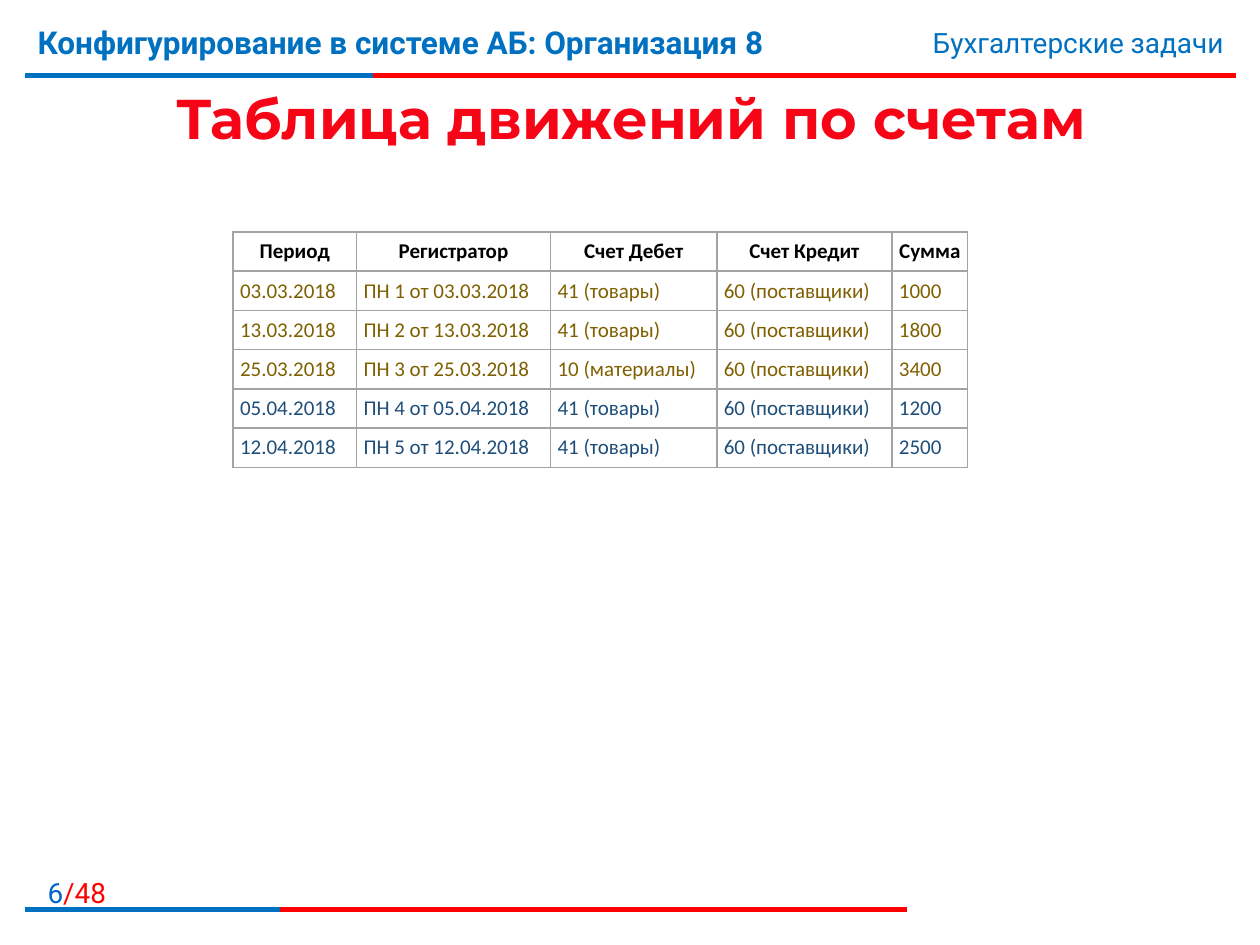
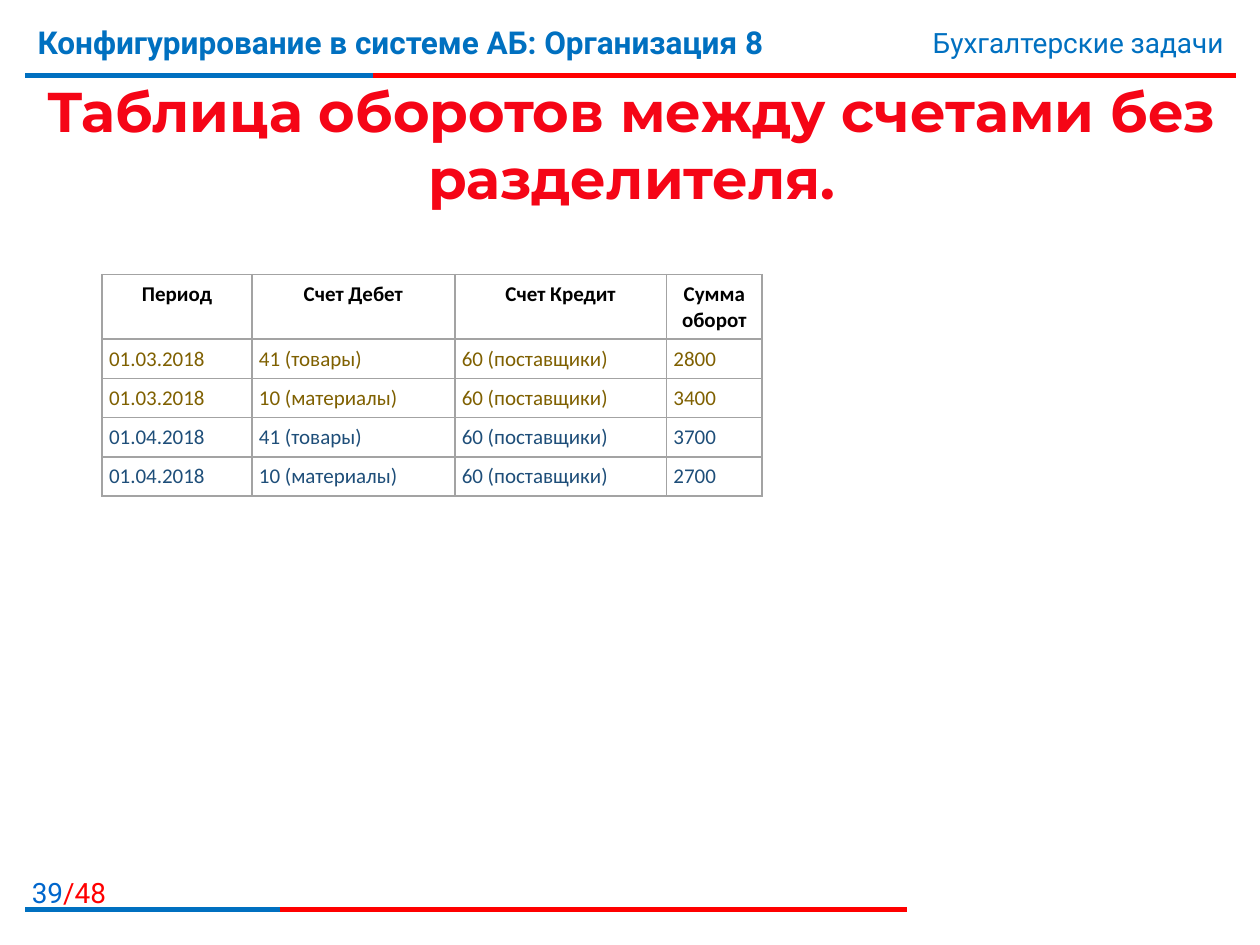
from dataclasses import dataclass

from lxml.etree import SubElement
from pptx import Presentation
from pptx.dml.color import RGBColor
from pptx.enum.shapes import MSO_CONNECTOR
from pptx.enum.text import MSO_ANCHOR, PP_ALIGN
from pptx.oxml import parse_xml
from pptx.oxml.ns import nsdecls, qn
from pptx.util import Inches, Pt


@dataclass(frozen=True)
class Theme:
    blue: str = "0070C0"
    red: str = "FF0000"
    number_blue: str = "0066CC"
    title_stops: tuple = ((0.55, "F50516"), (0.86, "C00000"))
    title_outline: str = "FFFFFF"
    black: str = "000000"
    march: str = "7F6000"
    april: str = "1E4E79"
    border: str = "A3A3A3"
    heading_font: str = "Montserrat"
    band_font: str = "Roboto"
    table_font: str = "Calibri"
    title_size: int = 32
    course_size: int = 18
    band_size: int = 16
    table_size: int = 12
    rule_width: int = 3


THEME = Theme()
MONTH_COLORS = {"03": THEME.march, "04": THEME.april}
PAGE_TOTAL = 48
CELL_MARGIN = Inches(1 / 18)
ROW_HEIGHT = Inches(0.31)

COURSE = "Конфигурирование в системе АБ: Организация 8"
TOPIC = "Бухгалтерские задачи"

PAGES = [
    {
        "number": 6,
        "title": "Таблица движений по счетам",
        "title_height": 0.6,
        "table_at": (1.85, 1.84),
        "columns": [0.98, 1.54, 1.32, 1.39, 0.6],
        "rows": [
            ["Период", "Регистратор", "Счет Дебет", "Счет Кредит", "Сумма"],
            ["03.03.2018", "ПН 1 от 03.03.2018", "41 (товары)", "60 (поставщики)", "1000"],
            ["13.03.2018", "ПН 2 от 13.03.2018", "41 (товары)", "60 (поставщики)", "1800"],
            ["25.03.2018", "ПН 3 от 25.03.2018", "10 (материалы)", "60 (поставщики)", "3400"],
            ["05.04.2018", "ПН 4 от 05.04.2018", "41 (товары)", "60 (поставщики)", "1200"],
            ["12.04.2018", "ПН 5 от 12.04.2018", "41 (товары)", "60 (поставщики)", "2500"],
        ],
    },
    {
        "number": 39,
        "title": "Таблица оборотов между счетами без разделителя.",
        "title_height": 1.02,
        "table_at": (0.81, 2.18),
        "columns": [1.19, 1.61, 1.68, 0.76],
        "rows": [
            ["Период", "Счет Дебет", "Счет Кредит", "Сумма оборот"],
            ["01.03.2018", "41 (товары)", "60 (поставщики)", "2800"],
            ["01.03.2018", "10 (материалы)", "60 (поставщики)", "3400"],
            ["01.04.2018", "41 (товары)", "60 (поставщики)", "3700"],
            ["01.04.2018", "10 (материалы)", "60 (поставщики)", "2700"],
        ],
    },
]


def set_attributes(target, values):
    for name, value in values.items():
        setattr(target, name, value)


def add_span(para, text, font_name, size, color=None, bold=False):
    span = para.add_run()
    span.text = text
    set_attributes(span.font, {"name": font_name, "size": Pt(size), "bold": bold})
    if color:
        span.font.color.rgb = RGBColor.from_string(color)
    return span


def add_text_box(page, box, align=PP_ALIGN.LEFT, anchor=MSO_ANCHOR.TOP):
    """Add an empty text box and return its first paragraph."""
    frame = page.shapes.add_textbox(*map(Inches, box)).text_frame
    set_attributes(frame, {"word_wrap": True, "vertical_anchor": anchor})
    para = frame.paragraphs[0]
    para.alignment = align
    return para


def add_two_tone_rule(page, left, top, width, blue_width):
    """Draw a red rule whose beginning is covered by a blue one."""
    for length, color in ((width, THEME.red), (blue_width, THEME.blue)):
        ends = map(Inches, (left, top, left + length, top))
        rule = page.shapes.add_connector(MSO_CONNECTOR.STRAIGHT, *ends)
        rule.line.width = Pt(THEME.rule_width)
        rule.line.color.rgb = RGBColor.from_string(color)
        SubElement(rule.element.spPr, qn("a:effectLst"))


def add_header(page, left, top, width):
    # Rule, course name and topic
    add_two_tone_rule(page, left, top + 0.47, width, 2.76)
    para = add_text_box(page, (left, top, 7.4, 0.62))
    add_span(para, COURSE, THEME.band_font, THEME.course_size, THEME.blue, bold=True)
    topic_width = 3.86
    topic_box = (left + width - topic_width, top + 0.02, topic_width, 0.37)
    para = add_text_box(page, topic_box, PP_ALIGN.RIGHT)
    add_span(para, TOPIC, THEME.band_font, THEME.band_size, THEME.blue)


def add_footer(page, left, top, width, number):
    # Page number above its rule
    para = add_text_box(page, (left - 0.15, top, 0.89, 0.32), PP_ALIGN.RIGHT)
    for text, color in ((str(number), THEME.number_blue), (f"/{PAGE_TOTAL}", THEME.red)):
        add_span(para, text, THEME.band_font, THEME.band_size, color)
    add_two_tone_rule(page, left, top + 0.32, width, 2.02)


def add_title(page, box, text):
    para = add_text_box(page, box, PP_ALIGN.CENTER, MSO_ANCHOR.MIDDLE)
    span = add_span(para, text, THEME.heading_font, THEME.title_size, bold=True)
    # Gradient from top to bottom
    fill = span.font.fill
    fill.gradient()
    fill.gradient_angle = 270
    for stop, (position, color) in zip(fill.gradient_stops, THEME.title_stops):
        stop.position = position
        stop.color.rgb = RGBColor.from_string(color)
    # Thin letter outline
    outline = parse_xml(
        f'<a:ln {nsdecls("a")} w="{Pt(0.75)}"><a:solidFill>'
        f'<a:srgbClr val="{THEME.title_outline}"/></a:solidFill></a:ln>'
    )
    span.font._element.insert(0, outline)


def add_cell_borders(cell):
    properties = cell._tc.get_or_add_tcPr()
    for side in ("lnL", "lnR", "lnT", "lnB"):
        properties.append(parse_xml(
            f'<a:{side} {nsdecls("a")} w="{Pt(1)}"><a:solidFill>'
            f'<a:srgbClr val="{THEME.border}"/></a:solidFill></a:{side}>'
        ))


def fill_cell(cell, text, color, is_heading):
    add_cell_borders(cell)
    cell.fill.background()
    sides = ("left", "right", "top", "bottom")
    set_attributes(cell, {f"margin_{side}": CELL_MARGIN for side in sides})
    para = cell.text_frame.paragraphs[0]
    para.alignment = PP_ALIGN.CENTER if is_heading else PP_ALIGN.LEFT
    add_span(para, text, THEME.table_font, THEME.table_size, color, is_heading)


def add_account_table(page, left, top, columns, rows):
    width, height = Inches(sum(columns)), ROW_HEIGHT * len(rows)
    table = page.shapes.add_table(
        len(rows), len(columns), Inches(left), Inches(top), width, height
    ).table
    set_attributes(table, {"first_row": False, "horz_banding": False})
    for column, column_width in zip(table.columns, columns):
        column.width = Inches(column_width)
    # Entries are coloured by the month of their period
    for row_index, texts in enumerate(rows):
        is_heading = row_index == 0
        color = THEME.black if is_heading else MONTH_COLORS[texts[0].split(".")[1]]
        for column_index, text in enumerate(texts):
            fill_cell(table.cell(row_index, column_index), text, color, is_heading)


def add_table_page(deck, content):
    page = deck.slides.add_slide(deck.slide_layouts[6])
    add_header(page, 0.2, 0.13, 9.61)
    add_footer(page, 0.2, 6.9, 7, content["number"])
    add_title(page, (0.21, 0.63, 9.61, content["title_height"]), content["title"])
    add_account_table(page, *content["table_at"], content["columns"], content["rows"])


def main():
    deck = Presentation()
    set_attributes(deck, {"slide_width": Inches(10), "slide_height": Inches(7.5)})
    for content in PAGES:
        add_table_page(deck, content)
    deck.save("out.pptx")


if __name__ == "__main__":
    main()
